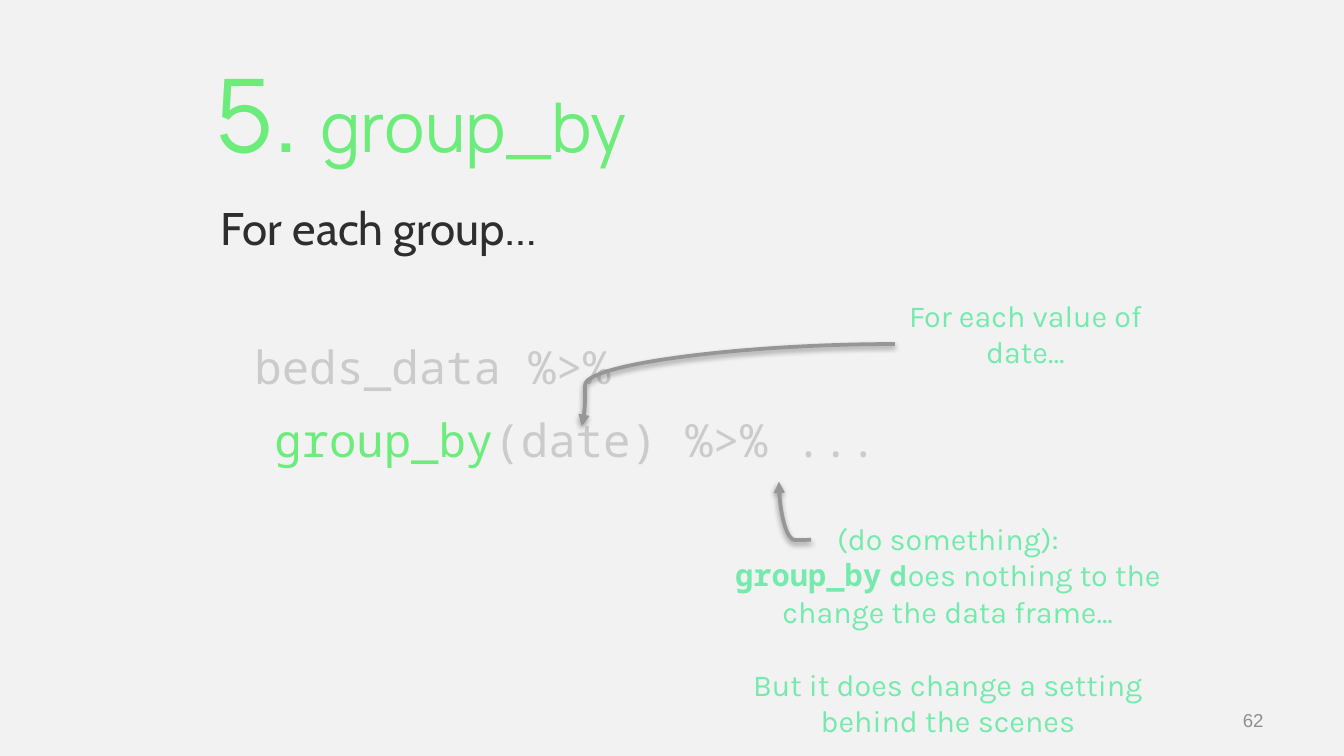
from lxml import etree
from pptx import Presentation
from pptx.dml.color import RGBColor
from pptx.enum.shapes import MSO_CONNECTOR
from pptx.enum.text import MSO_ANCHOR, MSO_AUTO_SIZE, PP_ALIGN
from pptx.oxml import parse_xml
from pptx.oxml.ns import qn
from pptx.util import Pt

LEFT, CENTER, RIGHT = PP_ALIGN.LEFT, PP_ALIGN.CENTER, PP_ALIGN.RIGHT
TOP, MIDDLE, BOTTOM = MSO_ANCHOR.TOP, MSO_ANCHOR.MIDDLE, MSO_ANCHOR.BOTTOM
CURVE = MSO_CONNECTOR.CURVE
NO_AUTOFIT = MSO_AUTO_SIZE.NONE

BACKGROUND, GREEN, MINT = "F2F2F2", "6BEC7B", "74EAAC"
DARK, PALE, GRAY, ARROW = "2E2E2E", "CBCBCB", "8F8F8F", "969696"
HEADING, BODY, NOTE, CODE = "Manrope", "Cabin", "Karla", "Noto Sans Mono"

# A paragraph is (runs, paragraph format); a run is (text, run format).
TITLE = [([("5. ", {"size": 54.4}), ("group_by", {})], {})]
BODY_LINES = [
    ([("For each group…", {"font": BODY, "color": DARK})], {"margin": 24}),
    ([("beds_data %>%", {})], {"margin": 42, "before": 35, "spacing": 1.2}),
    ([("group_by", {"color": GREEN}), ("(date) %>% ...", {})],
     {"indent": 52.6, "spacing": 1.2}),
]
DATE_NOTE = [([("For each value of date…", {})], {})]
ACTION_NOTE = [
    ([("(do something):", {})], {}),
    ([("group_by", {"font": CODE, "bold": True}), (" d", {"bold": True}),
      ("oes nothing to the change the data frame...", {})], {}),
    ([("But it does change a setting behind the scenes", {})], {"before": 19.5}),
]
PAGE_NUMBER = [([("62", {})], {})]

# Begin point, end point, rotation in degrees, bend as a share of the length
ARROWS = [
    ((479.5, 184.3), (311.8, 228.2), 0, 0.99),
    ((410.4, 282.2), (441.4, 265), 270, -0.01),
]

SHADOW = (
    '<a:effectLst xmlns:a="http://schemas.openxmlformats.org/drawingml/2006/main">'
    f'<a:outerShdw blurRad="{Pt(3.1)}" dist="{Pt(1.6)}" dir="5400000" rotWithShape="0">'
    '<a:srgbClr val="000000"><a:alpha val="38000"/></a:srgbClr>'
    '</a:outerShdw></a:effectLst>'
)


def rgb(color):
    return RGBColor.from_string(color)


def write_text(shape, paragraphs, *, font, size, color, align=LEFT,
               anchor=TOP, insets=(7.2, 3.6), after=0):
    """Fill a shape with paragraphs; a run's own format overrides the defaults."""
    frame = shape.text_frame
    frame.word_wrap = True
    frame.auto_size = NO_AUTOFIT
    frame.vertical_anchor = anchor
    frame.margin_left = frame.margin_right = Pt(insets[0])
    frame.margin_top = frame.margin_bottom = Pt(insets[1])
    for index, (runs, layout) in enumerate(paragraphs):
        paragraph = frame.add_paragraph() if index else frame.paragraphs[0]
        paragraph.alignment = align
        paragraph.space_before = Pt(layout.get("before", 0))
        paragraph.space_after = Pt(after)
        paragraph.line_spacing = layout.get("spacing", 1.0)
        properties = paragraph._p.get_or_add_pPr()
        properties.set("marL", str(Pt(layout.get("margin", 0))))
        properties.set("indent", str(Pt(layout.get("indent", 0))))
        etree.SubElement(properties, qn("a:buNone"))
        for text, style in runs:
            run = paragraph.add_run()
            run.text = text
            run.font.name = style.get("font", font)
            run.font.size = Pt(style.get("size", size))
            run.font.bold = style.get("bold", False)
            run.font.color.rgb = rgb(style.get("color", color))


def place(shape, left, top, width, height):
    shape.left, shape.top = Pt(left), Pt(top)
    shape.width, shape.height = Pt(width), Pt(height)
    return shape


def add_text(slide, box, paragraphs, **style):
    text_box = slide.shapes.add_textbox(*(Pt(length) for length in box))
    write_text(text_box, paragraphs, **style)


def add_curved_arrow(slide, begin, end, rotation, bend):
    arrow = slide.shapes.add_connector(
        CURVE, *(Pt(length) for length in (*begin, *end)))
    arrow.line.color.rgb = rgb(ARROW)
    arrow.line.width = Pt(2)
    properties = arrow._element.spPr
    properties.find(qn("a:xfrm")).set("rot", str(rotation * 60000))
    guides = properties.find(qn("a:prstGeom")).get_or_add_avLst()
    etree.SubElement(guides, qn("a:gd"), name="adj1",
                     fmla=f"val {round(bend * 100000)}")
    etree.SubElement(arrow.line._get_or_add_ln(), qn("a:tailEnd"), type="triangle")
    properties.append(parse_xml(SHADOW))


def main():
    presentation = Presentation()
    presentation.slide_width, presentation.slide_height = Pt(720), Pt(405)
    slide = presentation.slides.add_slide(presentation.slide_layouts[1])
    slide.background.fill.solid()
    slide.background.fill.fore_color.rgb = rgb(BACKGROUND)

    title, body = slide.placeholders
    write_text(place(title, 109.4, 59.8, 501.1, 38.9), TITLE, font=HEADING,
               size=36.7, color=GREEN, anchor=BOTTOM, insets=(6, 6))
    write_text(place(body, 87.1, 103.7, 545, 272.9), BODY_LINES, font=CODE,
               size=24.5, color=PALE, after=4)

    note_style = {"font": NOTE, "size": 16.3, "color": MINT, "align": CENTER}
    add_text(slide, (479.5, 155.5, 139.7, 46.8), DATE_NOTE, **note_style)
    add_text(slide, (383, 275, 249.8, 126), ACTION_NOTE, **note_style)
    add_text(slide, (611.3, 375.1, 72.7, 21.6), PAGE_NUMBER, font="Arial",
             size=10, color=GRAY, align=RIGHT, anchor=MIDDLE)

    for arrow in ARROWS:
        add_curved_arrow(slide, *arrow)
    presentation.save("out.pptx")


if __name__ == "__main__":
    main()
